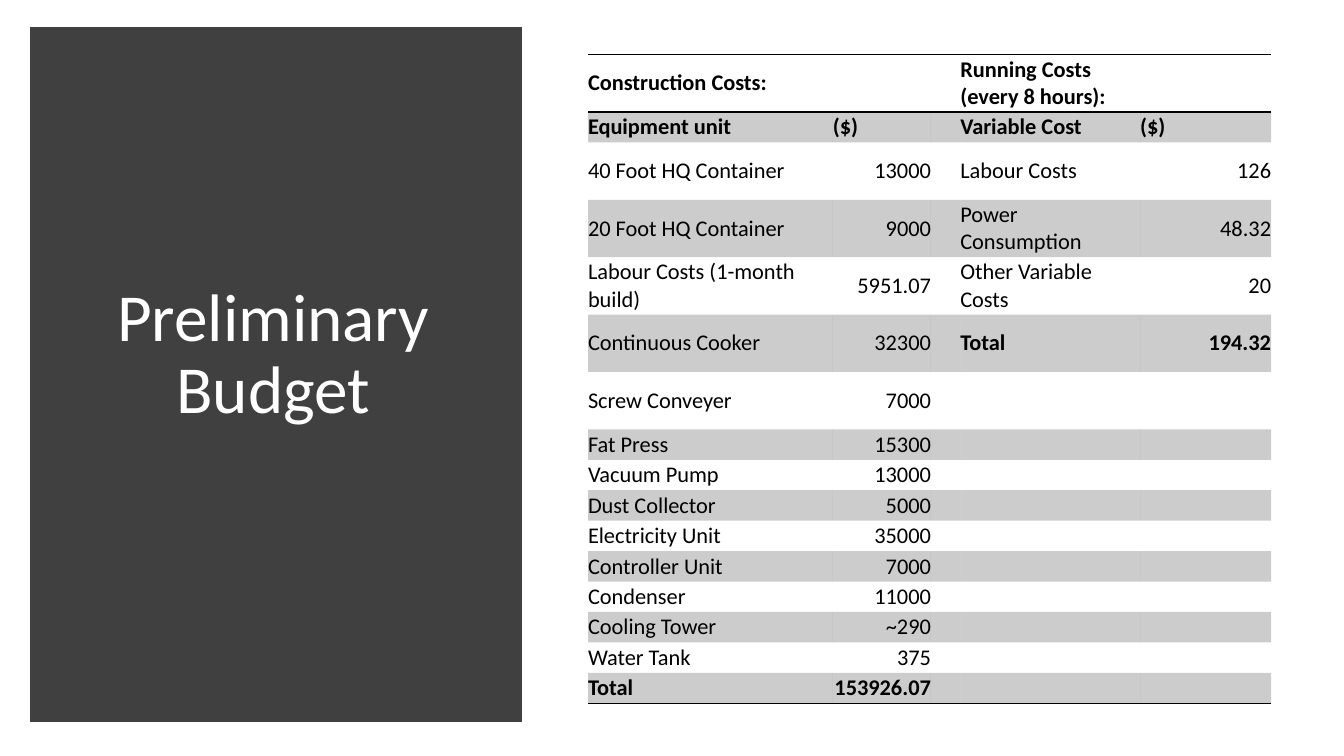
import lxml.etree
import pptx
import pptx.dml.color
import pptx.enum.shapes
import pptx.enum.text
import pptx.oxml.ns
import pptx.util

Pt = pptx.util.Pt
qn = pptx.oxml.ns.qn
ALIGN = pptx.enum.text.PP_ALIGN
MIDDLE = pptx.enum.text.MSO_ANCHOR.MIDDLE
NO_STYLE = "{2D5ABB26-0587-4C30-8999-92F81FD0307C}"
COLORS = {"panel": "404040", "title": "FFFFFF", "ink": "000000"}

EQUIPMENT = [
    ("Construction Costs:", ""),
    ("Equipment unit", "($)"),
    ("40 Foot HQ Container", "13000"),
    ("20 Foot HQ Container", "9000"),
    ("Labour Costs (1-month build)", "5951.07"),
    ("Continuous Cooker", "32300"),
    ("Screw Conveyer", "7000"),
    ("Fat Press", "15300"),
    ("Vacuum Pump", "13000"),
    ("Dust Collector", "5000"),
    ("Electricity Unit", "35000"),
    ("Controller Unit", "7000"),
    ("Condenser", "11000"),
    ("Cooling Tower", "~290"),
    ("Water Tank", "375"),
    ("Total", "153926.07"),
]
RUNNING = [
    ("Running Costs (every 8 hours):", ""),
    ("Variable Cost", "($)"),
    ("Labour Costs", "126"),
    ("Power Consumption", "48.32"),
    ("Other Variable Costs", "20"),
    ("Total", "194.32"),
]
COL_WIDTHS = [175, 70, 21, 128.5, 93.5]
TALL, SHORT = 41, 21.75
TALL_ROWS = {0, 2, 3, 4, 5, 6}


class Deck:
    def __init__(self, prs, font):
        self.font = font
        self.s = prs.slides.add_slide(prs.slide_layouts[6])

    def color(self, name):
        return pptx.dml.color.RGBColor.from_string(COLORS[name])

    def add_text(self, p, text, color, **fmt):
        r = p.add_run()
        r.text = text
        r.font.color.rgb = self.color(color)
        for key, value in {"name": self.font, **fmt}.items():
            setattr(r.font, key, value)

    def panel(self, x, y, w, h, color):
        kind = pptx.enum.shapes.MSO_SHAPE.RECTANGLE
        sp = self.s.shapes.add_shape(kind, Pt(x), Pt(y), Pt(w), Pt(h))
        sp.shadow.inherit = False
        sp.fill.solid()
        sp.fill.fore_color.rgb = self.color(color)
        sp.line.color.rgb = self.color(color)
        sp.line.width = Pt(10)
        ln = sp._element.spPr.find(qn("a:ln"))
        lxml.etree.SubElement(ln, qn("a:miter"), lim="800000")

    def title(self, x, y, w, h, text):
        sp = self.s.shapes.add_textbox(Pt(x), Pt(y), Pt(w), Pt(h))
        tf = sp.text_frame
        tf.word_wrap = True
        tf.vertical_anchor = MIDDLE
        p = tf.paragraphs[0]
        p.alignment = ALIGN.CENTER
        p.line_spacing = 0.9
        self.add_text(p, text, "title", size=Pt(48))

    def cell(self, cell, text, align, bold, shaded, edges):
        for side in ("left", "right", "top", "bottom"):
            setattr(cell, "margin_" + side, 0)
        cell.vertical_anchor = MIDDLE
        p = cell.text_frame.paragraphs[0]
        p.alignment = align
        if text:
            self.add_text(p, text, "ink", size=Pt(16), bold=bold)
        else:
            lxml.etree.SubElement(p._p, qn("a:endParaRPr"), sz="1600")
        tc_pr = cell._tc.get_or_add_tcPr()
        for edge in edges:
            ln = lxml.etree.SubElement(tc_pr, qn("a:ln" + edge), w=str(Pt(1)))
            fill = lxml.etree.SubElement(ln, qn("a:solidFill"))
            lxml.etree.SubElement(fill, qn("a:srgbClr"), val=COLORS["ink"])
        if shaded:
            cell.fill.solid()
            cell.fill.fore_color.rgb = self.color("ink")
            clr = tc_pr.find(qn("a:solidFill")).find(qn("a:srgbClr"))
            lxml.etree.SubElement(clr, qn("a:alpha"), val="20000")
        else:
            cell.fill.background()

    def table(self, x, y, widths, heights, rows):
        frame = self.s.shapes.add_table(
            len(rows), len(widths), Pt(x), Pt(y), Pt(sum(widths)), Pt(sum(heights)))
        table = frame.table
        table.first_row = table.horz_banding = False
        table._tbl.tblPr.find(qn("a:tableStyleId")).text = NO_STYLE
        for col, w in zip(table.columns, widths):
            col.width = Pt(w)
        for row, h in zip(table.rows, heights):
            row.height = Pt(h)
        edges = {0: "TB", len(rows) - 1: "B"}
        for i, values in enumerate(rows):
            for j, text in enumerate(values):
                number = i > 1 and j in (1, 4)
                label = values[0 if j < 2 else 3]
                self.cell(
                    table.cell(i, j), text,
                    ALIGN.RIGHT if number else ALIGN.LEFT,
                    i < 2 or label == "Total", i % 2 == 1, edges.get(i, ""))


def main():
    prs = pptx.Presentation()
    prs.slide_width, prs.slide_height = Pt(960), Pt(540)
    deck = Deck(prs, "Calibri")
    deck.panel(26.5, 24.5, 341.5, 486.5, "panel")
    deck.title(58.5, 58.5, 273.5, 391, "Preliminary Budget")
    running = RUNNING + [("", "")] * (len(EQUIPMENT) - len(RUNNING))
    rows = [(*left, "", *right) for left, right in zip(EQUIPMENT, running)]
    heights = [TALL if i in TALL_ROWS else SHORT for i in range(len(rows))]
    deck.table(420, 39, COL_WIDTHS, heights, rows)
    prs.save("out.pptx")


if __name__ == "__main__":
    main()
